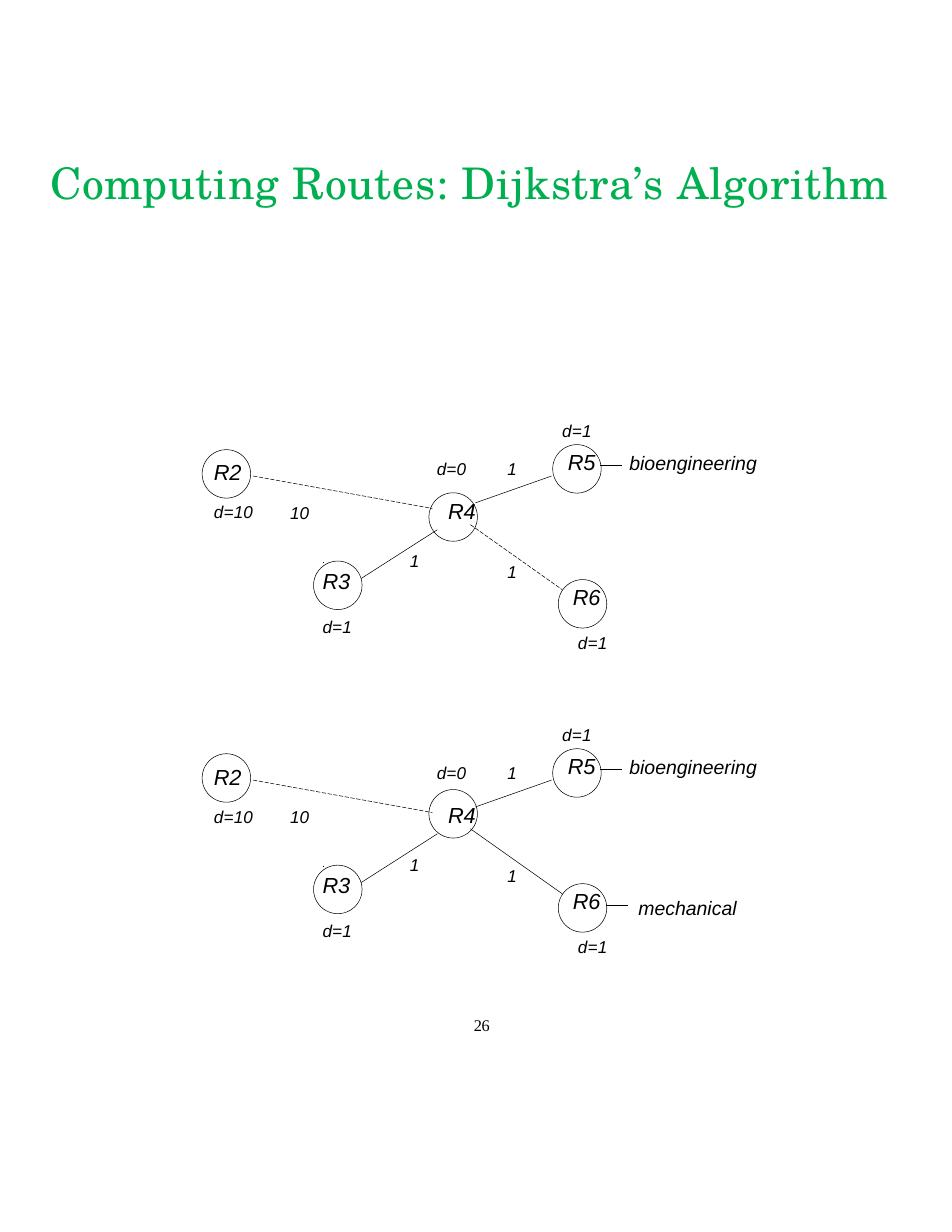
from lxml.etree import SubElement
from pptx import Presentation
from pptx.dml.color import RGBColor
from pptx.enum.dml import MSO_LINE
from pptx.enum.shapes import MSO_CONNECTOR, MSO_SHAPE
from pptx.enum.text import MSO_AUTO_SIZE, PP_ALIGN
from pptx.oxml.ns import qn
from pptx.util import Inches, Pt

# Grid of 85 columns and 110 rows
WIDE, HIGH = Inches(8.5), Inches(11)
COL, ROW = WIDE / 85, HIGH / 110
SHIFT = 27.15  # rows from the first graph to the second
SIZE = 4.33    # node diameter
HUES = {"ink": "000000", "title": "00B050"}

FRAME = {"margin_left": Inches(0.01), "margin_right": 0, "margin_top": 0,
         "margin_bottom": 0, "word_wrap": True,
         "auto_size": MSO_AUTO_SIZE.SHAPE_TO_FIT_TEXT}
SLANT = {"name": "Arial", "italic": True}
# Format name: font values, letter spacing in 1/100 pt, hue
FORMS = {
    "node": ({**SLANT, "size": Pt(14)}, -10, "ink"),
    "cost": ({**SLANT, "size": Pt(11)}, 10, "ink"),
    "host": ({**SLANT, "size": Pt(12.5)}, 0, "ink"),
    "page": ({"name": "Times New Roman", "size": Pt(10.5)}, -10, "ink"),
    "title": ({"name": "TeX Gyre Schola", "size": Pt(28)}, 50, "title"),
}

# Circles: left, top
NODES = {"R3": (28, 50.1), "R4": (38.3, 44), "R5": (49.35, 39.7),
         "R6": (49.85, 51.75), "R2": (18.05, 40.15)}
# Links: start column and row, end column and row
LINKS = {"dot": (28.85, 50.2, 28.95, 50.2), "R3": (32.25, 51.65, 39.05, 47.3),
         "R5": (42.45, 44.9, 49.25, 42.5), "R2": (22.6, 42.5, 38.6, 45.4),
         "R6": (42, 46.85, 50.2, 52.65)}
# Labels: text, format, left, top, width, height
TAGS = [
    ("R3", "node", 28.7, 50.7, 2.8, 2.5),
    ("R4", "node", 39.9, 44.4, 2.8, 2.5),
    ("R6", "node", 51.05, 52.15, 2.8, 2.5),
    ("10", "cost", 25.8, 44.85, 2, 2),
    ("1", "cost", 36.5, 49.15, 1.1, 2),
    ("1", "cost", 45.2, 40.95, 1.1, 2),
    ("1", "cost", 45.2, 50.15, 1.1, 2),
    ("d=1", "cost", 28.7, 55, 2.9, 2),
    ("d=0", "cost", 38.9, 40.95, 2.9, 2),
    ("d=1", "cost", 50.1, 37.55, 2.9, 2),
    ("d=1", "cost", 51.5, 56.45, 2.9, 2),
]


def place(*cells):
    """Turn column, row, column, row into lengths."""
    return [round(n * unit) for n, unit in zip(cells, (COL, ROW) * 2)]


def ink(line, width):
    line.color.rgb = RGBColor.from_string(HUES["ink"])
    line.width = Pt(width)


def draw_node(slide, left, top):
    node = slide.shapes.add_shape(
        MSO_SHAPE.OVAL, *place(left, top, SIZE, SIZE))
    node.shadow.inherit = False
    node.fill.background()
    ink(node.line, 0.35)


def draw_link(slide, ends, drop=0, dash=False, width=0.35):
    x, y, to_x, to_y = ends
    link = slide.shapes.add_connector(
        MSO_CONNECTOR.STRAIGHT, *place(x, y + drop, to_x, to_y + drop))
    ink(link.line, width)
    if dash:
        link.line.dash_style = MSO_LINE.LONG_DASH
    SubElement(link._element.spPr, qn("a:effectLst"))


def draw_stub(slide, x, y, drop):
    """Short line to a host: a thin line below a dashed one."""
    ends = (x, y, x + 1.95, y)
    draw_link(slide, ends, drop, width=0.25)
    draw_link(slide, ends, drop, dash=True)


def add_run(para, text, form):
    font, gap, hue = FORMS[form]
    run = para.add_run()
    run.text = text
    for key, value in font.items():
        setattr(run.font, key, value)
    run.font.color.rgb = RGBColor.from_string(HUES[hue])
    run._r.get_or_add_rPr().set("spc", str(gap))


def add_text(slide, text, form, left, top, width, height, drop=0):
    box = slide.shapes.add_textbox(*place(left, top + drop, width, height))
    frame = box.text_frame
    for key, value in FRAME.items():
        setattr(frame, key, value)
    add_run(frame.paragraphs[0], text, form)
    return frame


def draw_graph(slide, drop, tree):
    """One state of the graph; tree holds the links drawn solid."""
    for name, (x, y) in NODES.items():
        lift = 0.65 if name == "R4" and drop else 0
        draw_node(slide, x, y + drop - lift)
    for name, ends in LINKS.items():
        draw_link(slide, ends, drop, dash=name not in tree)
    draw_stub(slide, 53.6, 41.5, drop)
    for tag in TAGS:
        add_text(slide, *tag, drop=drop)

    # R5 with its host after a tab
    para = add_text(slide, "R5\t", "node", 50.6, 40.05, 17.1, 2.5,
                    drop).paragraphs[0]
    tabs = SubElement(para._p.get_or_add_pPr(), qn("a:tabLst"))
    SubElement(tabs, qn("a:tab"), pos=str(Inches(0.55)), algn="l")
    add_run(para, "bioengineering", "host")

    # R2 with its distance below
    frame = add_text(slide, "R2", "node", 19, 41, 3.8, 5.8, drop)
    para = frame.add_paragraph()
    para.space_before = Pt(10.6)
    add_run(para, "d=10", "cost")


def main():
    deck = Presentation()
    deck.slide_width, deck.slide_height = WIDE, HIGH
    slide = deck.slides.add_slide(deck.slide_layouts[6])

    # Title
    frame = add_text(slide, "Computing Routes: Dijkstra’s Algorithm",
                     "title", -0.3, 13.9, 84.4, 4.7)
    frame.paragraphs[0].alignment = PP_ALIGN.CENTER

    # Graph before and after R6 joins the tree
    draw_graph(slide, 0, {"dot", "R3", "R5"})
    draw_graph(slide, SHIFT, {"dot", "R3", "R5", "R6"})
    draw_stub(slide, 54.1, 53.65, SHIFT)
    add_text(slide, "mechanical", "host", 56.9, 80, 9.1, 2.3)

    # Page number
    frame = add_text(slide, "26", "page", 42.2, 90.7, 1.8, 1.8)
    frame.paragraphs[0].line_spacing = Pt(12.3)

    deck.save("out.pptx")


if __name__ == "__main__":
    main()
